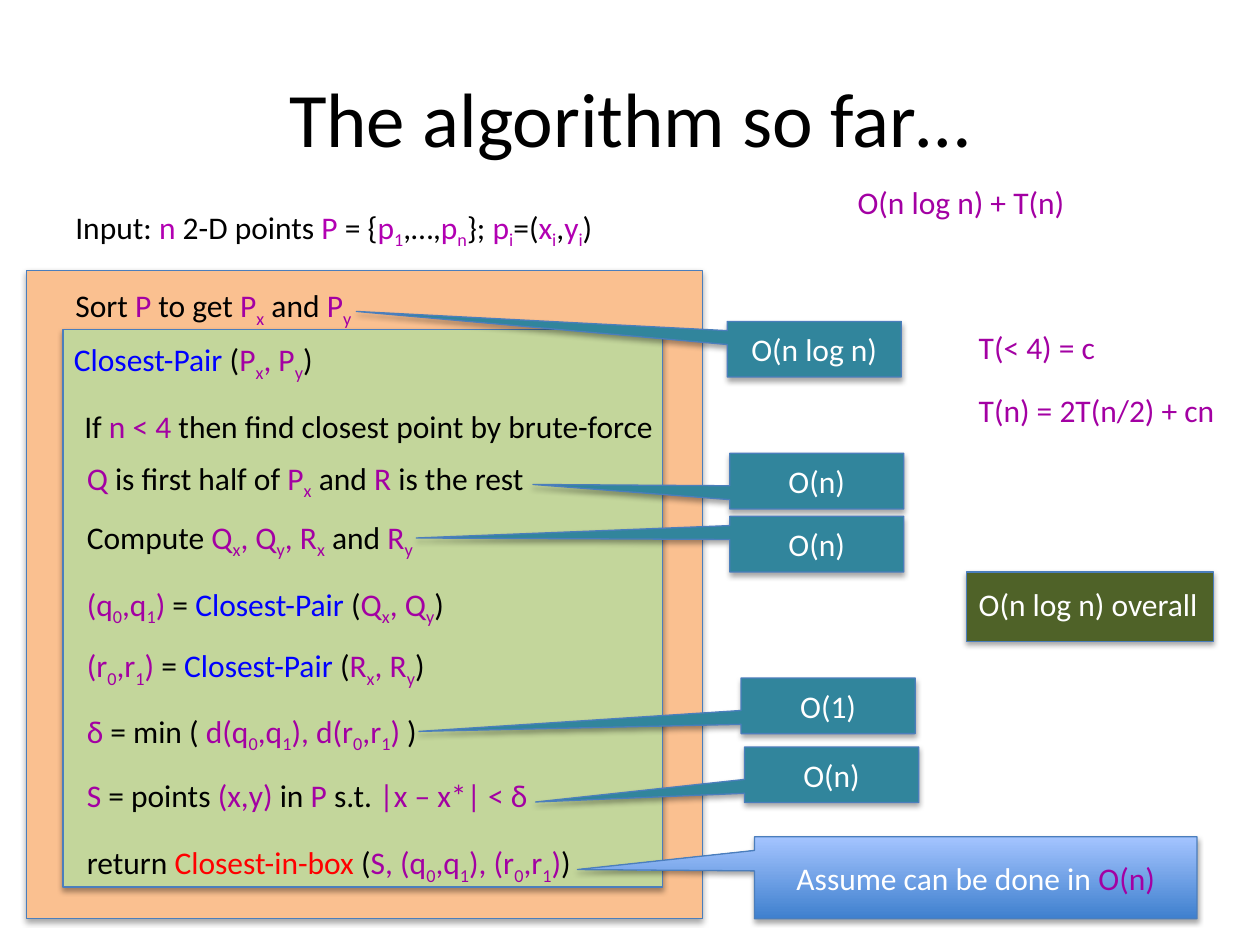
from lxml import etree
from pptx import Presentation
from pptx.dml.color import RGBColor
from pptx.enum.shapes import MSO_SHAPE
from pptx.enum.text import MSO_ANCHOR, MSO_AUTO_SIZE, PP_ALIGN
from pptx.oxml.ns import qn
from pptx.util import Cm, Pt

RECT, CALLOUT = MSO_SHAPE.RECTANGLE, MSO_SHAPE.RECTANGULAR_CALLOUT
CENTER, LEFT = PP_ALIGN.CENTER, PP_ALIGN.LEFT
MIDDLE = MSO_ANCHOR.MIDDLE
GROW = MSO_AUTO_SIZE.SHAPE_TO_FIT_TEXT

BLACK = RGBColor(0x00, 0x00, 0x00)
WHITE = RGBColor(0xFF, 0xFF, 0xFF)
PURPLE = RGBColor(0xA3, 0x00, 0xA3)
VIOLET = RGBColor(0xB2, 0x00, 0xB2)
BLUE = RGBColor(0x00, 0x00, 0xFF)
RED = RGBColor(0xFF, 0x00, 0x00)
ORANGE = RGBColor(0xFA, 0xC0, 0x90)
GREEN = RGBColor(0xC3, 0xD6, 0x9B)
TEAL = RGBColor(0x31, 0x85, 0x9C)
OLIVE = RGBColor(0x4F, 0x62, 0x28)
OUTLINE = RGBColor(0x4B, 0x7E, 0xBC)
GRADIENT = (RGBColor(0x3F, 0x80, 0xCE), RGBColor(0xA4, 0xC4, 0xFF))

LINE_HEIGHT = 1.02
COST_W, COST_H = 3.51, 1.12


class Deck:
    font = {"name": "Calibri", "size": Pt(18)}
    shadow = {"blurRad": "40000", "dist": "23000", "dir": "5400000", "rotWithShape": "0"}

    def __init__(self, prs):
        self.s = prs.slides.add_slide(prs.slide_layouts[6])

    def add_runs(self, tf, runs, align=LEFT, **font):
        """Add (colour, text) runs; the character after each "_" is a subscript."""
        p = tf.paragraphs[0]
        p.alignment = align
        for color, text in runs:
            head, *tails = text.split("_")
            pieces = [(head, False)]
            for tail in tails:
                pieces += [(tail[0], True), (tail[1:], False)]
            for piece, is_sub in pieces:
                if not piece:
                    continue
                r = p.add_run()
                r.text = piece
                for key, value in {**self.font, **font}.items():
                    setattr(r.font, key, value)
                r.font.color.rgb = color
                if is_sub:
                    r.font._element.set("baseline", "-25000")

    def text(self, x, y, w, runs, parent=None):
        sp = (parent or self.s).shapes.add_textbox(Cm(x), Cm(y), Cm(w), Cm(LINE_HEIGHT))
        tf = sp.text_frame
        tf.word_wrap = False
        tf.auto_size = GROW
        self.add_runs(tf, runs)

    def title(self, x, y, w, h, text):
        tf = self.s.shapes.add_textbox(Cm(x), Cm(y), Cm(w), Cm(h)).text_frame
        tf.word_wrap = True
        tf.vertical_anchor = MIDDLE
        self.add_runs(tf, [(BLACK, text)], CENTER, size=Pt(44))

    def box(self, x, y, w, h, fill, kind=RECT, parent=None):
        sp = (parent or self.s).shapes.add_shape(kind, Cm(x), Cm(y), Cm(w), Cm(h))
        if isinstance(fill, RGBColor):
            sp.fill.solid()
            sp.fill.fore_color.rgb = fill
        else:
            sp.fill.gradient()
            sp.fill.gradient_angle = 90
            for stop, color in zip(sp.fill.gradient_stops, fill):
                stop.color.rgb = color
        sp.line.color.rgb = OUTLINE
        sp.line.width = Pt(0.75)
        self.cast_shadow(sp)
        return sp

    def cast_shadow(self, sp):
        sp.shadow.inherit = False
        effects = sp._element.spPr.find(qn("a:effectLst"))
        outer = etree.SubElement(effects, qn("a:outerShdw"), self.shadow)
        color = etree.SubElement(outer, qn("a:srgbClr"), val="000000")
        etree.SubElement(color, qn("a:alpha"), val="35000")

    def callout(self, x, y, w, h, fill, tip, runs):
        """Place a callout; tip is its offset from the centre in widths and heights."""
        sp = self.box(x, y, w, h, fill, CALLOUT)
        for i, value in enumerate(tip):
            sp.adjustments[i] = value
        sp.text_frame.word_wrap = True
        sp.text_frame.vertical_anchor = MIDDLE
        self.add_runs(sp.text_frame, runs, CENTER)


def recursive_call(name):
    """Runs for the line that solves one half, such as Q with its pair q."""
    low = name.lower()
    return [(PURPLE, f"({low}_0,{low}_1) "), (BLACK, "= "), (BLUE, "Closest-Pair "),
            (BLACK, "("), (PURPLE, f"{name}_x, {name}_y"), (BLACK, ")")]


STEPS = [
    (1.27, 4.06, 11.2, [
        (BLACK, "Input: "), (VIOLET, "n"), (BLACK, " 2-D points "), (VIOLET, "P"),
        (BLACK, " = {"), (VIOLET, "p_1"), (BLACK, ",…,"), (VIOLET, "p_n"), (BLACK, "}; "),
        (VIOLET, "p_i"), (BLACK, "=("), (VIOLET, "x_i"), (BLACK, ","), (VIOLET, "y_i"),
        (BLACK, ")")]),
    (1.27, 5.64, 6.38, [
        (BLACK, "Sort "), (PURPLE, "P"), (BLACK, " to get "), (PURPLE, "P_x"),
        (BLACK, " and "), (PURPLE, "P_y")]),
    (1.24, 6.73, 5.61, [
        (BLUE, "Closest-Pair "), (BLACK, "("), (PURPLE, "P_x, P_y"), (BLACK, ")")]),
    (1.45, 8.08, 12.09, [
        (BLACK, "If "), (PURPLE, "n < 4 "),
        (BLACK, "then find closest point by brute-force")]),
    (1.5, 9.12, 9.6, [
        (PURPLE, "Q"), (BLACK, " is first half of"), (PURPLE, " P_x"), (BLACK, " and "),
        (PURPLE, "R"), (BLACK, " is the rest")]),
    (1.5, 10.31, 7.29, [
        (BLACK, "Compute "), (PURPLE, "Q_x, Q_y, R_x"), (BLACK, " and "), (PURPLE, "R_y")]),
    (1.5, 11.66, 8.08, recursive_call("Q")),
    (1.5, 12.9, 7.57, recursive_call("R")),
    (1.5, 14.22, 7.34, [
        (PURPLE, "δ"), (BLACK, " = min ( "), (PURPLE, "d(q_0,q_1), d(r_0,r_1) "),
        (BLACK, ")")]),
    (1.5, 15.52, 9.5, [
        (PURPLE, "S"), (BLACK, " = points "), (PURPLE, "(x,y)"), (BLACK, " in "),
        (PURPLE, "P"), (BLACK, " s.t. "), (PURPLE, "|x – x*| < δ")]),
    (1.5, 16.87, 10.59, [
        (BLACK, "return "), (RED, "Closest-in-box "), (BLACK, "("),
        (PURPLE, "S, (q_0,q_1), (r_0,r_1)"), (BLACK, ")")]),
]

COSTS = [
    (14.66, 6.48, (-2.63, -0.68), "O(n log n)"),
    (14.71, 9.14, (-1.63, 0.06), "O(n)"),
    (14.71, 10.41, (-2.3, -0.11), "O(n)"),
    (14.94, 13.67, (-2.35, 0.46), "O(1)"),
    (15.01, 15.06, (-1.7, 0.49), "O(n)"),
]

RECURRENCE = [
    (17.04, 3.56, 4.72, "O(n log n) + T(n)"),
    (19.48, 6.48, 2.9, "T(< 4) = c"),
    (19.48, 7.75, 5.31, "T(n) = 2T(n/2) + cn"),
]


def main():
    prs = Presentation()
    prs.slide_width, prs.slide_height = Cm(25.4), Cm(19.05)
    deck = Deck(prs)

    deck.box(0.53, 5.46, 13.64, 13.06, ORANGE)
    deck.box(1.27, 6.65, 12.09, 11.23, GREEN)
    deck.title(1.27, 0.76, 22.86, 3.18, "The algorithm so far…")
    for x, y, w, runs in STEPS:
        deck.text(x, y, w, runs)

    deck.callout(15.21, 16.87, 8.92, 1.65, GRADIENT, (-0.9, -0.1),
                 [(WHITE, "Assume can be done in "), (PURPLE, "O(n)")])
    for x, y, tip, cost in COSTS:
        deck.callout(x, y, COST_W, COST_H, TEAL, tip, [(WHITE, cost)])
    for x, y, w, formula in RECURRENCE:
        deck.text(x, y, w, [(PURPLE, formula)])

    overall = deck.s.shapes.add_group_shape()
    deck.box(19.48, 11.53, 4.98, 1.4, OLIVE, parent=overall)
    deck.text(19.48, 11.66, 4.98, [(WHITE, "O(n log n) overall")], parent=overall)

    prs.save("out.pptx")


if __name__ == "__main__":
    main()
